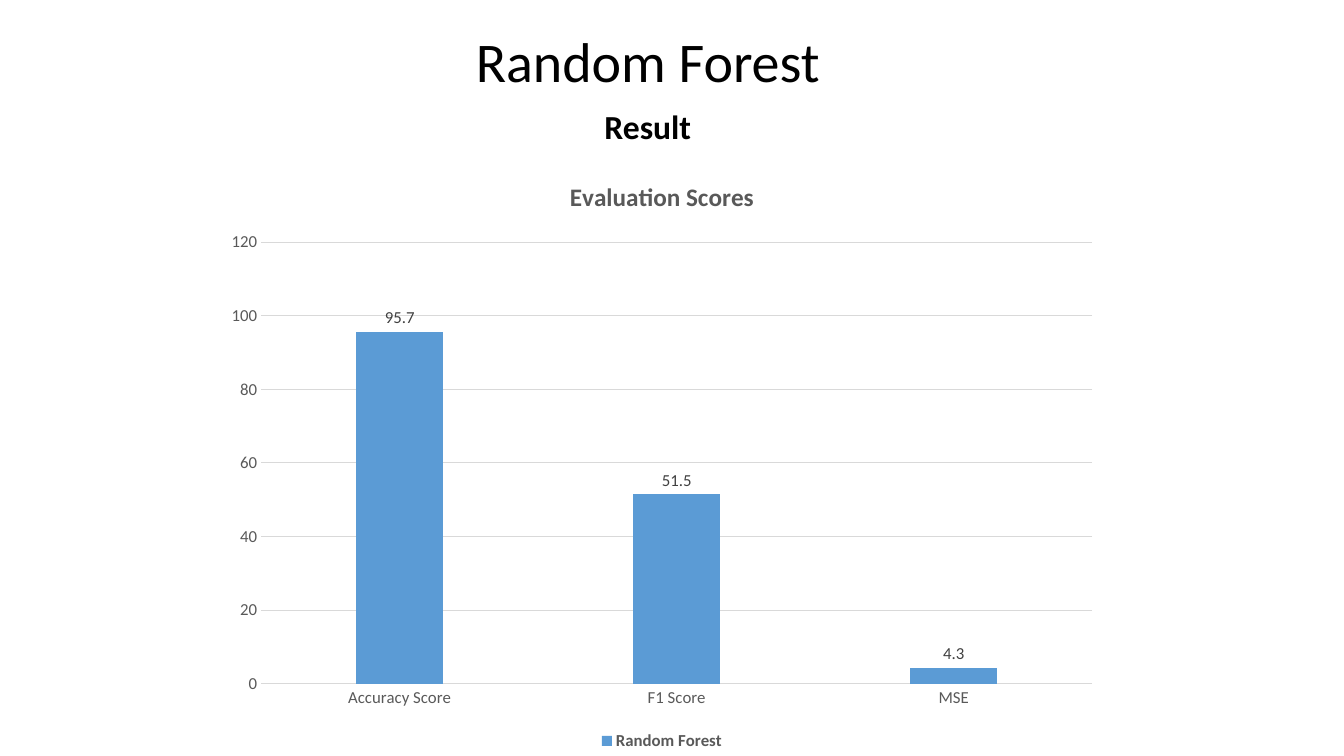
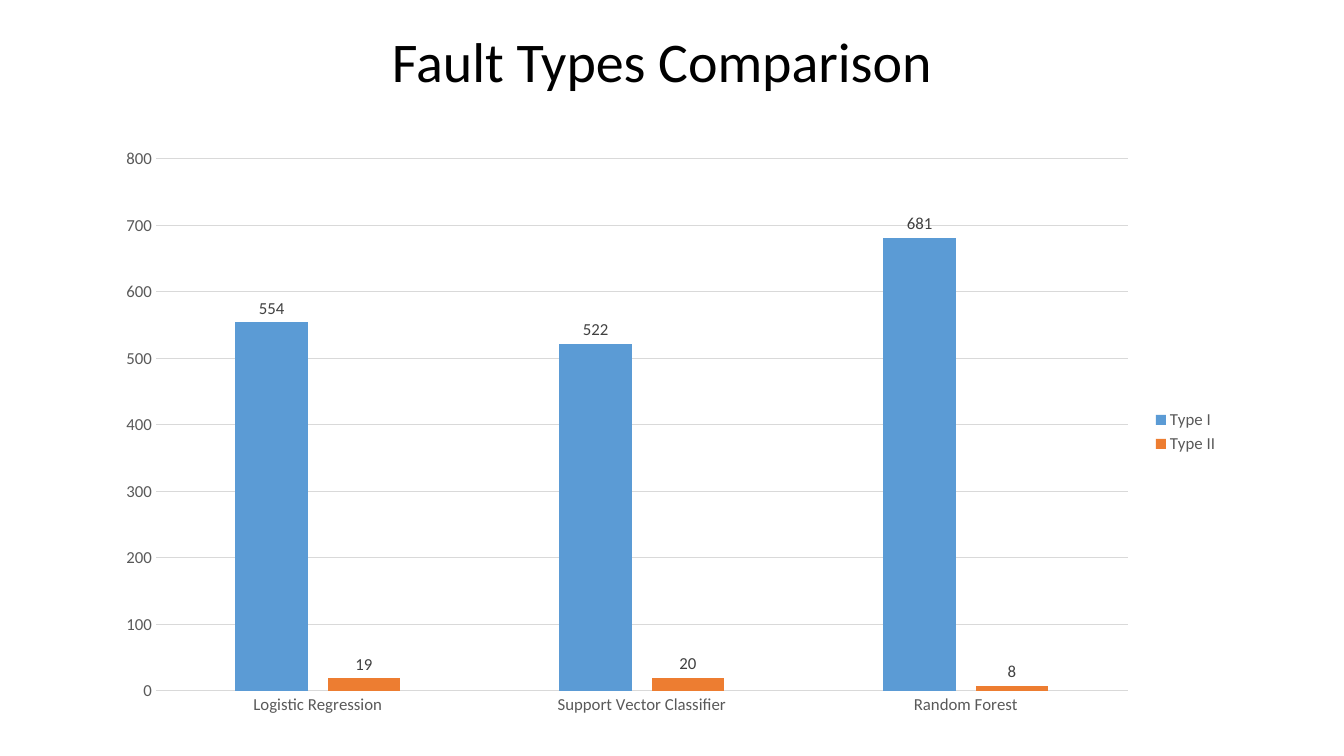
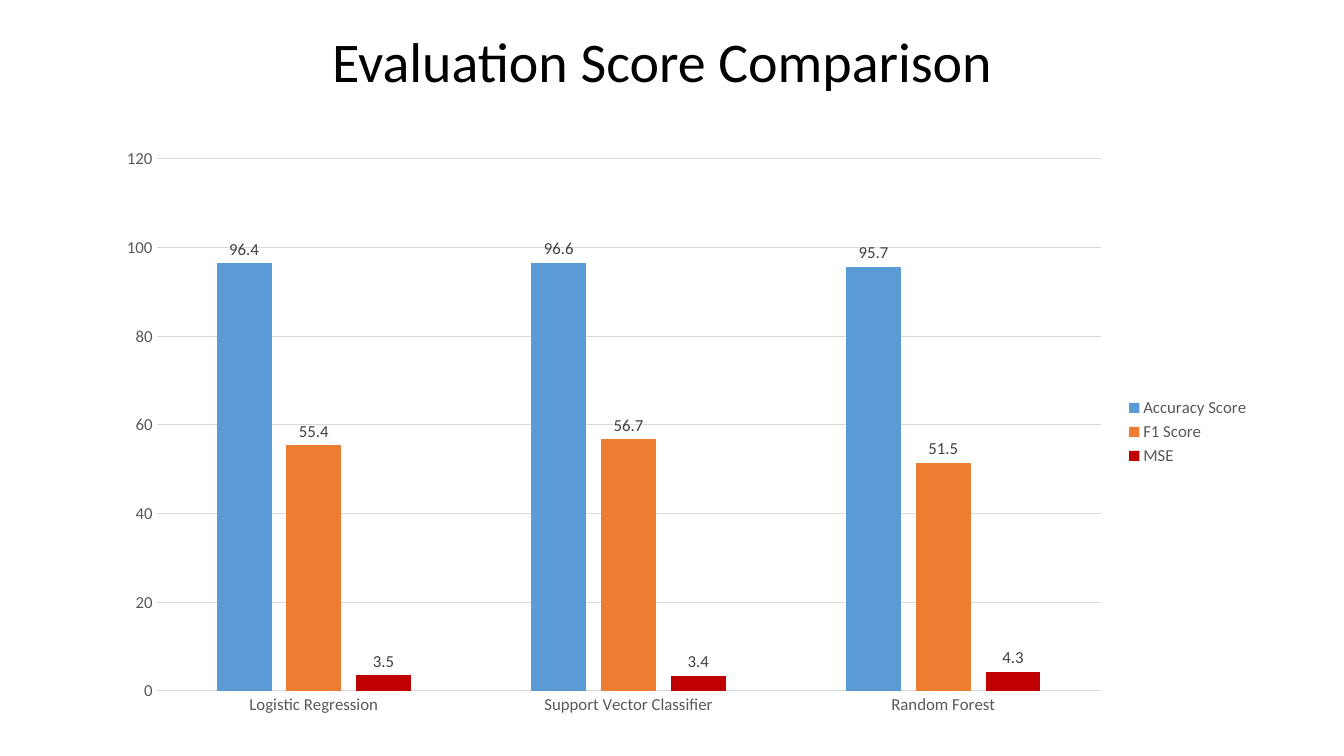
from dataclasses import dataclass

from pptx import Presentation
from pptx.chart.data import CategoryChartData
from pptx.dml.color import RGBColor
from pptx.enum.chart import (XL_CHART_TYPE, XL_LABEL_POSITION,
                             XL_LEGEND_POSITION, XL_TICK_MARK)
from pptx.enum.text import MSO_ANCHOR, MSO_AUTO_SIZE, PP_ALIGN
from pptx.util import Inches, Pt

COLUMN = XL_CHART_TYPE.COLUMN_CLUSTERED
OUTSIDE = XL_LABEL_POSITION.OUTSIDE_END
BOTTOM = XL_LEGEND_POSITION.BOTTOM
RIGHT = XL_LEGEND_POSITION.RIGHT
NO_TICK = XL_TICK_MARK.NONE
MIDDLE = MSO_ANCHOR.MIDDLE
NO_FIT = MSO_AUTO_SIZE.NONE
CENTER = PP_ALIGN.CENTER
TITLE_ONLY = 5


@dataclass(frozen=True)
class Theme:
    face: str = "Calibri"
    ink: str = "000000"
    gray: str = "595959"
    label: str = "404040"
    grid: str = "D9D9D9"
    bars: tuple = ("5B9BD5", "ED7D31", "C00000")
    title: int = 40
    sub: int = 24
    head: int = 18
    small: int = 12
    rule: float = 0.75


THEME = Theme()
MODELS = ("Logistic Regression", "Support Vector Classifier", "Random Forest")
SCORES = ("Accuracy Score", "F1 Score", "MSE")


# Shared styling
def set_font(font, size, color, bold=False):
    font.name = THEME.face
    font.size = Pt(size)
    font.bold = bold
    font.color.rgb = RGBColor.from_string(color)


def set_line(line):
    line.color.rgb = RGBColor.from_string(THEME.grid)
    line.width = Pt(THEME.rule)


def set_text(shape, text, size, bold=False):
    frame = shape.text_frame
    frame.text = text
    frame.word_wrap = True
    frame.auto_size = NO_FIT
    frame.vertical_anchor = MIDDLE
    para = frame.paragraphs[0]
    para.alignment = CENTER
    set_font(para.font, size, THEME.ink, bold)


# Slide parts
def add_slide(deck, title, left=2.6):
    slide = deck.slides.add_slide(deck.slide_layouts[TITLE_ONLY])
    shape = slide.shapes.title
    shape.left, shape.top = Inches(left), Inches(0.21)
    shape.width, shape.height = Inches(7.93), Inches(0.77)
    set_text(shape, title, THEME.title)
    return slide


def add_sub(slide, text, box):
    shape = slide.shapes.add_textbox(*map(Inches, box))
    set_text(shape, text, THEME.sub, bold=True)


def style_axes(chart, top, step):
    values = chart.value_axis
    for axis in (chart.category_axis, values):
        axis.major_tick_mark = axis.minor_tick_mark = NO_TICK
        set_font(axis.tick_labels.font, THEME.small, THEME.gray)
    set_line(chart.category_axis.format.line)
    values.format.line.fill.background()
    values.has_major_gridlines = True
    set_line(values.major_gridlines.format.line)
    values.minimum_scale, values.maximum_scale = 0, top
    values.major_unit = step


def style_bars(plot):
    plot.gap_width, plot.overlap = 219, -27
    plot.vary_by_categories = False
    for series, color in zip(plot.series, THEME.bars):
        fill = series.format.fill
        fill.solid()
        fill.fore_color.rgb = RGBColor.from_string(color)
        labels = series.data_labels
        labels.show_value = True
        labels.position = OUTSIDE
        set_font(labels.font, THEME.small, THEME.label)


def add_bars(slide, box, cats, rows, top, step, place=RIGHT, title=None):
    data = CategoryChartData()
    data.categories = cats
    for name, values in rows.items():
        data.add_series(name, values)
    chart = slide.shapes.add_chart(COLUMN, *map(Inches, box), data).chart
    set_font(chart.font, THEME.small, THEME.gray)
    style_axes(chart, top, step)
    style_bars(chart.plots[0])

    chart.has_title = title is not None
    if title:
        frame = chart.chart_title.text_frame
        frame.text = title
        set_font(frame.paragraphs[0].font, THEME.head, THEME.gray, bold=True)
        chart.chart_title.include_in_layout = False

    chart.has_legend = True
    chart.legend.position = place
    chart.legend.include_in_layout = False
    set_font(chart.legend.font, THEME.small, THEME.gray, bold=place == BOTTOM)


def main():
    deck = Presentation()
    deck.slide_width, deck.slide_height = Inches(13.33), Inches(7.5)

    # Random forest result
    slide = add_slide(deck, "Random Forest", left=2.46)
    add_sub(slide, "Result", (2.28, 1, 8.29, 0.5))
    add_bars(slide, (2.12, 1.56, 8.89, 5.93), SCORES,
             {"Random Forest": (95.7, 51.5, 4.3)},
             120, 20, BOTTOM, "Evaluation Scores")

    # Fault types by model
    slide = add_slide(deck, "Fault Types Comparison")
    add_bars(slide, (1.03, 1.36, 11.16, 5.85), MODELS,
             {"Type I": (554, 522, 681), "Type II": (19, 20, 8)}, 800, 100)

    # Scores by model
    slide = add_slide(deck, "Evaluation Score Comparison")
    marks = ((96.4, 96.6, 95.7), (55.4, 56.7, 51.5), (3.5, 3.4, 4.3))
    add_bars(slide, (1.03, 1.36, 11.47, 5.85), MODELS,
             dict(zip(SCORES, marks)), 120, 20)

    deck.save("out.pptx")


if __name__ == "__main__":
    main()
